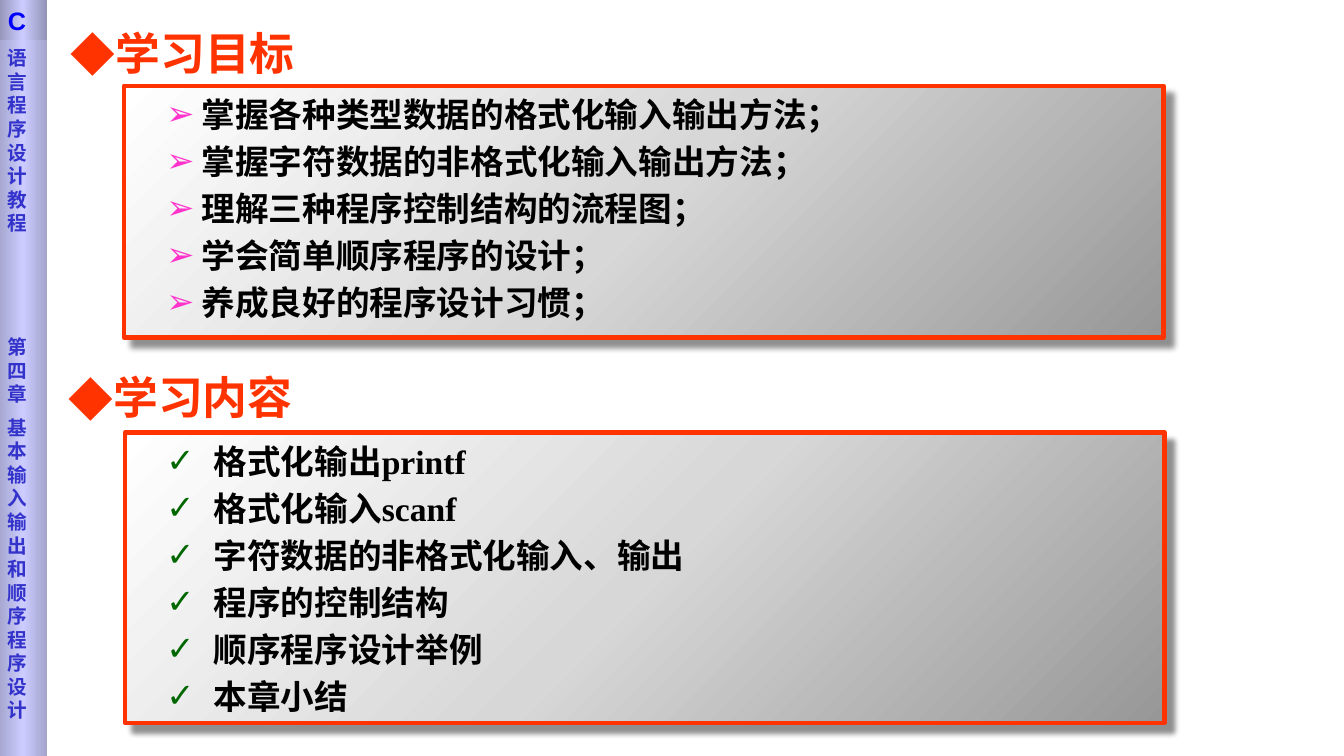
from lxml import etree
from pptx import Presentation
from pptx.dml.color import RGBColor
from pptx.enum import shapes, text
from pptx.oxml import ns
from pptx.util import Inches, Pt

COLORS = {"red": "FF3300", "black": "000000", "pink": "FF33CC", "green": "006600",
          "indigo": "3333CC", "blue": "0000FF"}
PANEL_STOPS = ["979797", "D7D7D7", "FFFFFF"]
BAR_STOPS = ["A4A4CD", "CCCCFF", "A4A4CD"]
CORNER_STOPS = ["9292B6", "CCCCFF", "9292B6"]
CJK = "Noto Sans CJK SC"

SECTIONS = [
    {"heading": "学习目标", "heading_at": (0.6, 0.16), "panel_at": (1.23, 0.85, 10.31, 2.5),
     "bullet": "➢", "bullet_color": "pink", "font": CJK, "margin": 0.75, "hang": 0.35,
     "items": ["掌握各种类型数据的格式化输入输出方法；",
               "掌握字符数据的非格式化输入输出方法；",
               "理解三种程序控制结构的流程图；",
               "学会简单顺序程序的设计；",
               "养成良好的程序设计习惯；"]},
    {"heading": "学习内容", "heading_at": (0.58, 3.58), "panel_at": (1.24, 4.29, 10.31, 2.88),
     "bullet": "✓", "bullet_color": "green", "font": "Times New Roman", "margin": 0.86, "hang": 0.47,
     "items": ["格式化输出printf",
               "格式化输入scanf",
               "字符数据的非格式化输入、输出",
               "程序的控制结构",
               "顺序程序设计举例",
               "本章小结"]},
]
SIDEBAR = ["语言程序设计教程", "第四章", "基本输入输出和顺序程序设计"]
SIDEBAR_GAPS = [0, 71.8, 7.2]
BAR_LEFT, BAR_WIDTH, CORNER_HEIGHT = -0.02, 0.49, 0.4
HEADING_SIZE = (4.25, 0.63)


def sub(parent, tag, **attrs):
    return etree.SubElement(parent, ns.qn(tag), {k: str(v) for k, v in attrs.items()})


def place(s, left, top, width, height):
    s.left, s.top, s.width, s.height = map(Inches, (left, top, width, height))


def write(s, lines, *, size, color, font, insets=(0.1, 0.05, 0.1, 0.05), gaps=None,
          bullet=None, bullet_color=None, bullet_font="DejaVu Sans", margin=0, hang=0):
    """Fill a shape with bold paragraphs whose line pitch is 1.2 times the size."""
    tf = s.text_frame
    tf.word_wrap = True
    tf.auto_size = text.MSO_AUTO_SIZE.NONE
    tf.vertical_anchor = text.MSO_ANCHOR.TOP
    tf.margin_left, tf.margin_top, tf.margin_right, tf.margin_bottom = map(Inches, insets)
    for i, line in enumerate(lines):
        p = tf.paragraphs[0] if i == 0 else tf.add_paragraph()
        p.alignment = text.PP_ALIGN.LEFT
        p.line_spacing = Pt(size * 1.2)
        p.space_before = Pt(gaps[i] if gaps else 0)
        r = p.add_run()
        r.text = line
        r.font.size, r.font.bold, r.font.name = Pt(size), True, font
        r.font.color.rgb = RGBColor.from_string(COLORS[color])
        sub(r._r.get_or_add_rPr(), "a:ea", typeface=CJK)
        if bullet:
            pPr = p._p.get_or_add_pPr()
            pPr.set("marL", str(Inches(margin)))
            pPr.set("indent", str(-Inches(hang)))
            sub(sub(pPr, "a:buClr"), "a:srgbClr", val=COLORS[bullet_color])
            sub(pPr, "a:buFont", typeface=bullet_font)
            sub(pPr, "a:buChar", char=bullet)


def gradient_rect(slide, at, stops, angle):
    s = slide.shapes.add_shape(shapes.MSO_SHAPE.RECTANGLE, *map(Inches, at))
    s.shadow.inherit = False
    s.line.fill.background()
    s.fill.gradient()
    s.fill.gradient_angle = angle
    gs_list = s._element.spPr.find(".//" + ns.qn("a:gsLst"))
    for old in list(gs_list):
        gs_list.remove(old)
    for i, color in enumerate(stops):
        stop = sub(gs_list, "a:gs", pos=100000 * i // (len(stops) - 1))
        sub(stop, "a:srgbClr", val=color)
    return s


def add_panel(slide, at):
    s = gradient_rect(slide, at, PANEL_STOPS, 135)
    s.line.color.rgb = RGBColor.from_string(COLORS["red"])
    s.line.width = Pt(3)
    effects = s._element.spPr.find(ns.qn("a:effectLst"))
    shadow = sub(effects, "a:outerShdw", blurRad=Pt(4), dist=Pt(8.4), dir=45 * 60000,
                 algn="tl", rotWithShape=0)
    sub(sub(shadow, "a:srgbClr", val=COLORS["black"]), "a:alpha", val=43000)
    return s


def main():
    prs = Presentation()
    prs.slide_width, prs.slide_height = Inches(13.33), Inches(7.5)
    slide = prs.slides.add_slide(prs.slide_layouts[5])

    for i, section in enumerate(SECTIONS):
        heading = slide.shapes.title if i == 0 else slide.shapes.add_textbox(0, 0, 0, 0)
        place(heading, *section["heading_at"], *HEADING_SIZE)
        write(heading, [section["heading"]], size=32, color="red", font="Arial",
              insets=(0.1, 0.09, 0.1, 0.05), bullet="◆", bullet_color="red",
              bullet_font=CJK, margin=0.19, hang=0.19)
        items = section["items"]
        write(add_panel(slide, section["panel_at"]), items, size=24, color="black",
              font=section["font"], insets=(0.02, 0.08, 0.1, 0.05),
              gaps=[0] + [4.8] * (len(items) - 1), bullet=section["bullet"],
              bullet_color=section["bullet_color"], margin=section["margin"],
              hang=section["hang"])

    bar = gradient_rect(slide, (BAR_LEFT, 0, BAR_WIDTH, 7.5), BAR_STOPS, 0)
    write(bar, SIDEBAR, size=14, color="indigo", font="DejaVu Sans",
          insets=(0.1, 0.46, 0.1, 0), gaps=SIDEBAR_GAPS)
    corner = gradient_rect(slide, (BAR_LEFT, 0, BAR_WIDTH, CORNER_HEIGHT), CORNER_STOPS, 0)
    write(corner, ["C"], size=18, color="blue", font="Arial")

    prs.save("out.pptx")


if __name__ == "__main__":
    main()
